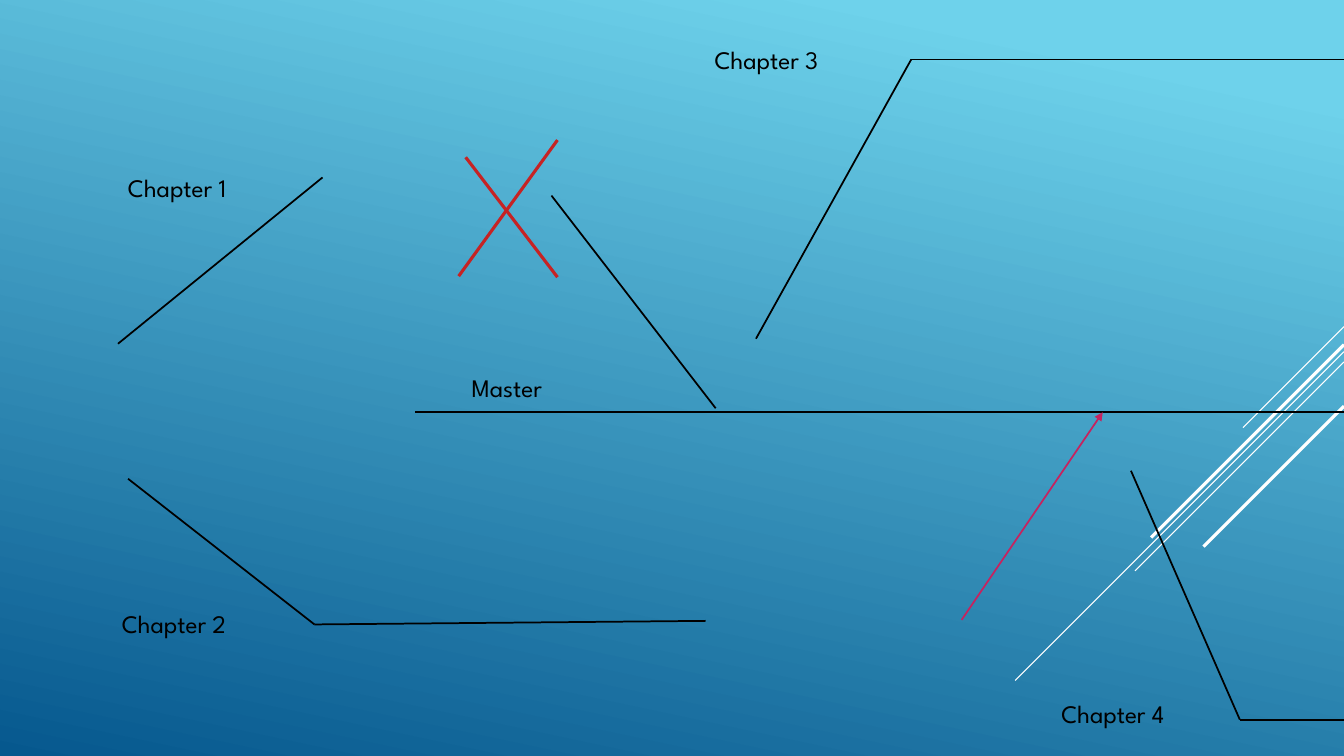
"""Build the slide of chapter branches around a master line."""
from itertools import pairwise

from lxml.etree import SubElement
from pptx import Presentation
from pptx.dml.color import RGBColor as RGB
from pptx.enum.shapes import MSO_CONNECTOR as LINK
from pptx.enum.text import MSO_AUTO_SIZE as FIT
from pptx.oxml.ns import qn
from pptx.util import Inches, Pt

SKY = RGB(0x6E, 0xD2, 0xEB)
SEA = RGB(0x06, 0x58, 0x8E)
WHITE = RGB(0xFF, 0xFF, 0xFF)
BLACK = RGB(0x00, 0x00, 0x00)
RED = RGB(0xC6, 0x23, 0x24)
PINK = RGB(0xC6, 0x23, 0x5F)
FONT = "League Spartan"

deck = Presentation()
deck.slide_width = Inches(13.33)
deck.slide_height = Inches(7.5)
slide = deck.slides.add_slide(deck.slide_layouts[6])
col = deck.slide_width / 100
row = deck.slide_height / 100


def draw(start, end, color, width=1.25, arrow=False):
    line = slide.shapes.add_connector(
        LINK.STRAIGHT,
        int(start[0] * col), int(start[1] * row),
        int(end[0] * col), int(end[1] * row),
    )
    line.line.color.rgb = color
    line.line.width = Pt(width)
    props = line._element.spPr
    if arrow:
        SubElement(props.find(qn("a:ln")), qn("a:tailEnd"), type="triangle")
    SubElement(props, qn("a:effectLst"))


fill = slide.background.fill
fill.gradient()
fill.gradient_angle = 360 - 102
for stop, (place, color) in zip(fill.gradient_stops, [(0.1, SKY), (1, SEA)]):
    stop.position = place
    stop.color.rgb = color

rays = [
    (43.2, 92.48, 0.75),
    (46.53, 75.53, 0.75),
    (47.87, 84.45, 0.75),
    (45.6, 85.65, 2.25),
    (53.73, 89.55, 2.25),
]
for top, left, width in rays:
    foot = top + (100 - left) * col / row
    draw((100, top), (left, foot), WHITE, width)

MAIN = 54.53
paths = [
    [(30.9, MAIN), (100, MAIN)],
    [(8.78, 45.47), (24, 23.47)],
    [(9.53, 63.33), (23.4, 82.6), (52.5, 82.13)],
    [(41.03, 25.87), (53.25, 54)],
    [(56.25, 44.8), (67.8, 7.87), (100, 7.87)],
    [(84.15, 62.27), (92.25, 95.2), (100, 95.2)],
]
for path in paths:
    for start, end in pairwise(path):
        draw(start, end, BLACK)

draw((41.48, 18.53), (34.13, 36.53), RED, 2.25)
draw((34.65, 20.8), (41.48, 36.67), RED, 2.25)
draw((71.55, 82), (82.05, MAIN), PINK, arrow=True)

labels = [
    ("Chapter 1", 8.78, 22.13, 10.8),
    ("Chapter 2", 8.33, 79.87, 10.8),
    ("Master", 34.35, 48.53, 7.73),
    ("Chapter 3", 52.43, 5.2, 10.8),
    ("Chapter 4", 78.23, 91.73, 10.8),
]
for text, left, top, width in labels:
    box = slide.shapes.add_textbox(
        int(left * col), int(top * row), int(width * col), int(5.33 * row)
    )
    frame = box.text_frame
    frame.word_wrap = False
    frame.auto_size = FIT.SHAPE_TO_FIT_TEXT
    frame.text = text
    font = frame.paragraphs[0].runs[0].font
    font.name = FONT
    font.size = Pt(18)
    font.color.rgb = BLACK

deck.save("out.pptx")
